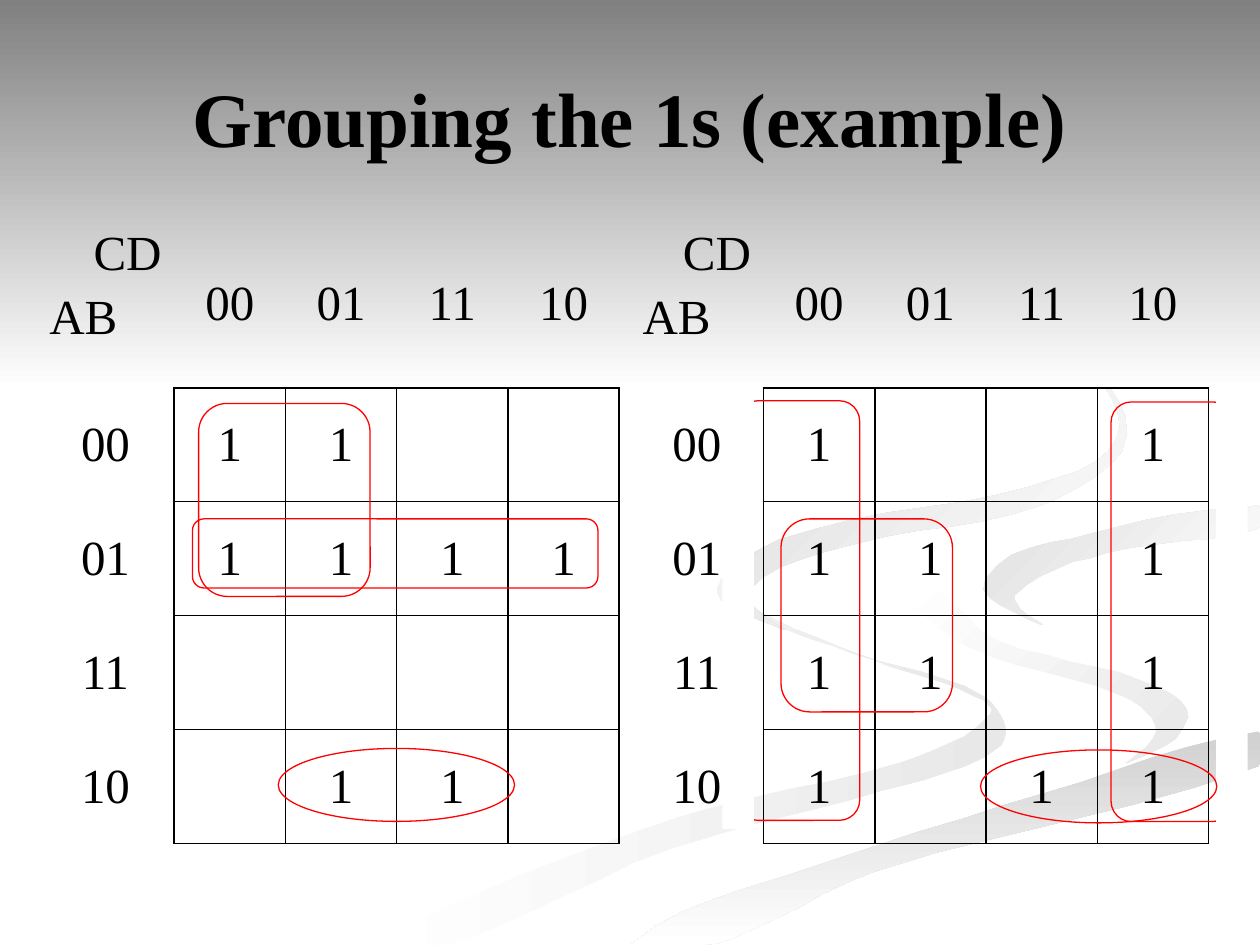
from dataclasses import dataclass
from math import dist

from lxml.etree import SubElement
from pptx import Presentation
from pptx.dml.color import RGBColor
from pptx.enum.shapes import MSO_SHAPE as Preset
from pptx.enum.text import MSO_ANCHOR as Anchor, PP_ALIGN as Align
from pptx.oxml import parse_xml
from pptx.oxml.ns import nsdecls, qn
from pptx.util import Pt


@dataclass(frozen=True)
class Theme:
    font: str = "Times New Roman"
    title_size: float = 44
    cell_size: float = 28
    ink: str = "000000"
    loop: str = "FF0000"
    paper: str = "FFFFFF"
    header: str = "808080"
    pale: str = "E8E8E8"
    silver: str = "D1D1D1"
    mist: str = "E0E0E0"
    haze: str = "D8D8D8"
    border_width: float = 1
    loop_width: float = 0.75


THEME = Theme()
GRAY_CODE = ["00", "01", "11", "10"]
CELL_WIDTH, CELL_HEIGHT, HEADER_HEIGHT = 63.6, 65.1, 95.6
MAP_TOP = 126
SMOOTH_STEPS = 6

# Background ribbons: first colour, last colour, clockwise angle, key points
RIBBONS = [
    (THEME.paper, THEME.pale, 0, [
        (562, 398), (491, 374), (417, 341), (414, 330), (412, 343),
        (489, 374), (549, 394), (566, 408), (514, 436), (388, 467),
        (216, 539), (260, 539), (383, 485), (503, 452), (572, 426)]),
    (THEME.paper, THEME.pale, 45, [
        (679, 410), (652, 389), (570, 366), (521, 334),
        (552, 369), (642, 398), (661, 418), (644, 436)]),
    (THEME.silver, THEME.paper, 90, [
        (362, 539), (411, 539), (500, 498), (719, 438),
        (719, 418), (598, 453), (454, 499)]),
    (THEME.mist, THEME.paper, 45, [
        (563, 331), (595, 357), (580, 340), (632, 316),
        (719, 302), (719, 289), (623, 305)]),
    (THEME.haze, THEME.paper, 45, [
        (492, 310), (594, 289), (644, 248), (607, 198), (549, 168), (621, 210),
        (638, 251), (589, 278), (467, 302), (415, 333), (448, 360), (427, 338)]),
]


def rgb(color):
    return RGBColor.from_string(color)


def smooth(points):
    """Closed Hermite curve through the points, kept on the slide."""
    count = len(points)
    curve = []
    for i, start in enumerate(points):
        before, end, after = (points[(i + k) % count] for k in (-1, 1, 2))
        chord = dist(start, end)
        leave, arrive = chord / dist(before, end), chord / dist(start, after)
        for step in range(SMOOTH_STEPS):
            t = step / SMOOTH_STEPS
            blend = t * t * (3 - 2 * t)
            curve.append(tuple(
                min(limit, s + (e - s) * blend
                    + t * (1 - t) ** 2 * leave * (e - b)
                    - t * t * (1 - t) * arrive * (a - s))
                for b, s, e, a, limit in zip(before, start, end, after, (720, 540))))
    return curve


def paint_gradient(shape, first, last, angle):
    shape.shadow.inherit = False
    shape.line.fill.background()
    shape.fill.gradient()
    shape.fill.gradient_angle = (360 - angle) % 360
    for stop, color in zip(shape.fill.gradient_stops, (first, last)):
        stop.color.rgb = rgb(color)


def add_ribbon(slide, first, last, angle, points):
    start, *others = smooth(points)
    builder = slide.shapes.build_freeform(*start, scale=Pt(1))
    builder.add_line_segments(others, close=True)
    paint_gradient(builder.convert_to_shape(), first, last, angle)


def add_header(slide):
    band = slide.shapes.add_shape(Preset.RECTANGLE, 0, 0, Pt(720), Pt(222))
    paint_gradient(band, THEME.header, THEME.paper, 90)


def write(paragraph, text, size, align, bold=False):
    paragraph.alignment = align
    run = paragraph.add_run()
    run.text = text
    run.font.name = THEME.font
    run.font.size = Pt(size)
    run.font.bold = bold
    run.font.color.rgb = rgb(THEME.ink)


def add_title(slide, text):
    box = slide.shapes.add_textbox(Pt(36), Pt(21.6), Pt(648), Pt(90))
    frame = box.text_frame
    frame.word_wrap = True
    frame.vertical_anchor = Anchor.MIDDLE
    write(frame.paragraphs[0], text, THEME.title_size, Align.CENTER, bold=True)


def set_borders(cell, visible):
    properties = cell._tc.get_or_add_tcPr()
    for index, side in enumerate("LRTB"):
        line = parse_xml(f'<a:ln{side} {nsdecls("a")} w="{Pt(THEME.border_width)}"/>')
        if side in visible:
            fill = SubElement(line, qn("a:solidFill"))
            SubElement(fill, qn("a:srgbClr"), val=THEME.ink)
        else:
            SubElement(line, qn("a:noFill"))
        properties.insert(index, line)


def add_karnaugh_map(slide, left, label_width, rows):
    widths = [label_width] + [CELL_WIDTH] * 4
    heights = [HEADER_HEIGHT] + [CELL_HEIGHT] * 4
    table = slide.shapes.add_table(5, 5, Pt(left), Pt(MAP_TOP), Pt(sum(widths)),
                                   Pt(sum(heights))).table
    table.first_row = table.horz_banding = False
    for column, width in zip(table.columns, widths):
        column.width = Pt(width)
    for row, height in zip(table.rows, heights):
        row.height = Pt(height)

    grid = [[""] + GRAY_CODE]
    grid += [[code, *ones] for code, ones in zip(GRAY_CODE, rows)]
    for r, texts in enumerate(grid):
        for c, text in enumerate(texts):
            cell = table.cell(r, c)
            cell.fill.background()
            cell.vertical_anchor = Anchor.MIDDLE
            visible = "LRTB" if r and c else "R" if r else "B" if c else ""
            set_borders(cell, visible)
            if text.strip():
                write(cell.text_frame.paragraphs[0], text, THEME.cell_size, Align.CENTER)

    # Corner cell names the column and row variables
    corner = table.cell(0, 0)
    corner.vertical_anchor = Anchor.TOP
    write(corner.text_frame.paragraphs[0], "CD", THEME.cell_size, Align.RIGHT)
    row_name = corner.text_frame.add_paragraph()
    row_name.space_before = Pt(5.6)
    write(row_name, "AB", THEME.cell_size, Align.LEFT)


def add_loop(shapes, preset, left, top, width, height):
    shape = shapes.add_shape(preset, Pt(left), Pt(top), Pt(width), Pt(height))
    shape.shadow.inherit = False
    shape.fill.background()
    shape.line.color.rgb = rgb(THEME.loop)
    shape.line.width = Pt(THEME.loop_width)
    if preset == Preset.ROUNDED_RECTANGLE:
        shape.adjustments[0] = 0.167


def add_open_loop(slide, left, top, cover_left):
    """A loop that wraps round the map's edge, its outer side covered."""
    group = slide.shapes.add_group_shape()
    add_loop(group.shapes, Preset.ROUNDED_RECTANGLE, left, top, 69.8, 239.8)
    cover = group.shapes.add_shape(Preset.RECTANGLE, Pt(cover_left), Pt(top - 9.4),
                                   Pt(18), Pt(254))
    cover.shadow.inherit = False
    cover.fill.solid()
    cover.fill.fore_color.rgb = rgb(THEME.paper)
    cover.line.fill.background()


def main():
    presentation = Presentation()
    presentation.slide_width, presentation.slide_height = Pt(720), Pt(540)
    slide = presentation.slides.add_slide(presentation.slide_layouts[6])

    # Background and title
    for ribbon in RIBBONS:
        add_ribbon(slide, *ribbon)
    add_header(slide)
    add_title(slide, "Grouping the 1s (example)")

    # Maps: one string per row, a space for an empty cell
    add_karnaugh_map(slide, 21, 78.5, ["11  ", "1111", "    ", " 11 "])
    add_karnaugh_map(slide, 360, 76.3, ["1  1", "11 1", "11 1", "1 11"])

    # Loops on the left map
    add_loop(slide.shapes, Preset.ROUNDED_RECTANGLE, 113.5, 230.5, 98, 110.3)
    add_loop(slide.shapes, Preset.ROUNDED_RECTANGLE, 110, 296.5, 231.7, 39.5)
    add_loop(slide.shapes, Preset.OVAL, 159, 427.7, 135, 41.7)

    # Loops on the right map
    add_open_loop(slide, 421.5, 229, 412.8)
    add_open_loop(slide, 634.9, 229.7, 695)
    add_loop(slide.shapes, Preset.ROUNDED_RECTANGLE, 446.3, 296.5, 98, 110.3)
    add_loop(slide.shapes, Preset.OVAL, 560.3, 428.5, 135, 41.7)

    presentation.save("out.pptx")


if __name__ == "__main__":
    main()
